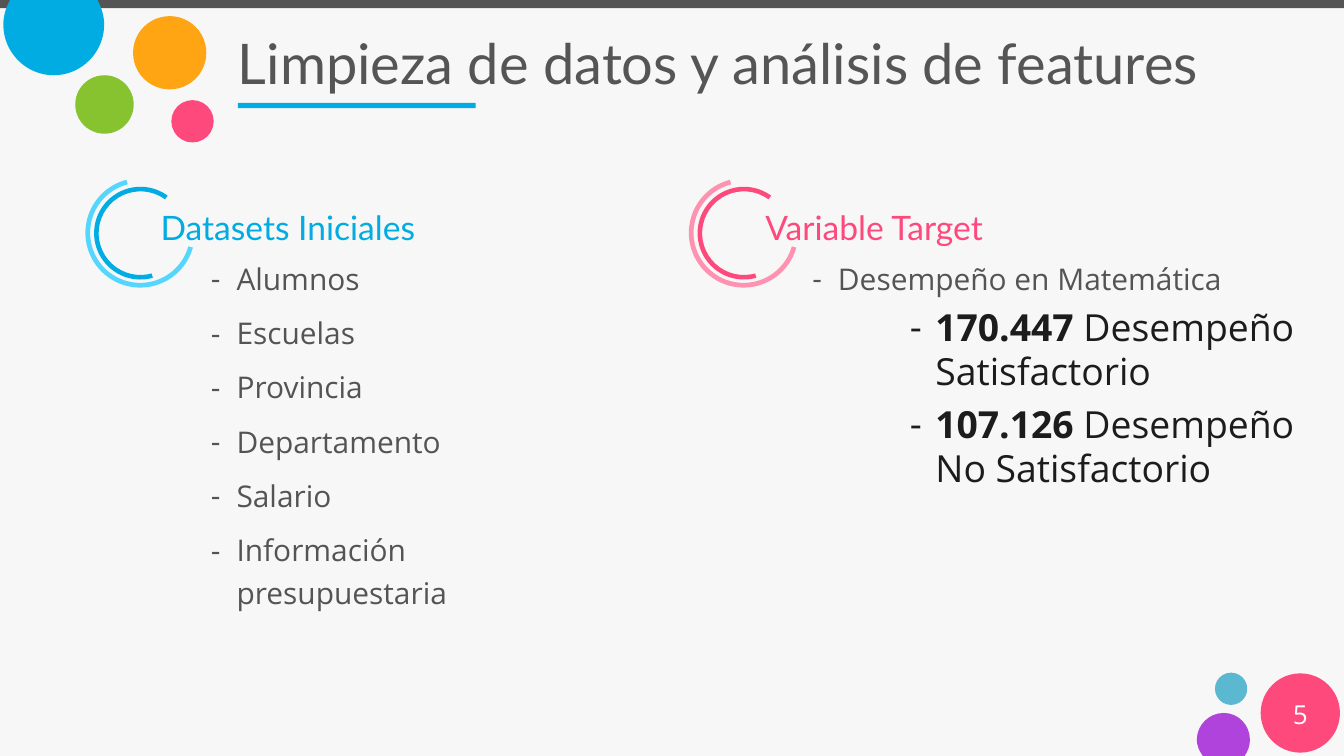
from dataclasses import dataclass

import pptx
import pptx.dml.color
import pptx.enum.shapes
import pptx.enum.text
import pptx.oxml.ns
import pptx.util
from lxml import etree
from pptx.util import Inches

SHAPE = pptx.enum.shapes.MSO_SHAPE
ANCHOR = pptx.enum.text.MSO_ANCHOR
ALIGN = pptx.enum.text.PP_ALIGN


@dataclass(frozen=True)
class Theme:
    """Colours, fonts and type sizes of the deck."""
    width: float = 20
    height: float = 11.25
    background: str = "F7F7F7"
    bar: str = "545454"
    title: str = "555555"
    ink: str = "1C1C1C"
    white: str = "FFFFFF"
    blue: str = "00ACE2"
    light_blue: str = "55D6FF"
    pink: str = "FD497C"
    light_pink: str = "FE92B0"
    green: str = "87C32F"
    orange: str = "FFA513"
    teal: str = "5BB8D1"
    purple: str = "B143DD"
    heading_font: str = "Lato"
    body_font: str = "Open Sans"
    title_size: int = 60
    heading_size: int = 36
    body_size: int = 32
    detail_size: int = 40
    number_size: int = 28


THEME = Theme()


def rgb(colour):
    """Turn a hex string into a colour."""
    return pptx.dml.color.RGBColor.from_string(colour)


def paint(shape, colour):
    """Give a shape a flat fill with no line or shadow."""
    shape.shadow.inherit = False
    shape.fill.solid()
    shape.fill.fore_color.rgb = rgb(colour)
    shape.line.fill.background()


def add_flat(page, kind, box, colour):
    """Add a flat preset shape in the box (left, top, width, height)."""
    shape = page.shapes.add_shape(kind, *map(Inches, box))
    paint(shape, colour)
    return shape


def add_cut_circle(page, left, top, chord, curves, colour):
    """Add a circle cut by a straight chord and closed by Bézier curves."""
    points = [(Inches(left + x), Inches(top + y)) for x, y in chord + curves]
    builder = page.shapes.build_freeform(*points[0])
    builder.add_line_segments(points[1:], close=True)
    shape = builder.convert_to_shape()
    lines = list(shape._element.iter(pptx.oxml.ns.qn("a:lnTo")))[1:]
    for start in range(0, len(curves), 3):
        curve = etree.Element(pptx.oxml.ns.qn("a:cubicBezTo"))
        lines[start].addprevious(curve)
        for line in lines[start:start + 3]:
            curve.append(line[0])
            line.getparent().remove(line)
    paint(shape, colour)


def add_text_frame(page, box, anchor=ANCHOR.TOP):
    """Add a wrapping text box and return its frame."""
    frame = page.shapes.add_textbox(*map(Inches, box)).text_frame
    frame.word_wrap = True
    frame.vertical_anchor = anchor
    frame.margin_left = frame.margin_right = Inches(0.18)
    frame.margin_top = frame.margin_bottom = Inches(0.09)
    return frame


def style(para, font, size, colour):
    """Set the font of a whole paragraph."""
    para.font.name = font
    para.font.size = pptx.util.Pt(size)
    para.font.color.rgb = rgb(colour)


def space(para, before, line=None):
    """Set the space before a paragraph and its line spacing."""
    para.space_before = pptx.util.Pt(before)
    para.line_spacing = line


def add_dash(para, indent):
    """Give a paragraph a hanging dash bullet."""
    properties = para._p.get_or_add_pPr()
    properties.set("marL", str(Inches(indent)))
    properties.set("indent", str(Inches(-0.38)))
    font = etree.SubElement(properties, pptx.oxml.ns.qn("a:buFont"))
    font.set("typeface", THEME.body_font)
    bullet = etree.SubElement(properties, pptx.oxml.ns.qn("a:buChar"))
    bullet.set("char", "-")


def add_header(page, box, text):
    """Add the top bar, the corner circles and the underlined title."""
    left, top, width, height = box
    add_flat(page, SHAPE.RECTANGLE, (0, 0, THEME.width, 0.12), THEME.bar)
    add_flat(page, SHAPE.OVAL, (2.55, 1.49, 0.63, 0.63), THEME.pink)
    add_cut_circle(page, 0.05, 0, [(0.1, 0), (1.4, 0)],
                   [(1.46, 0.11), (1.5, 0.23), (1.5, 0.37),
                    (1.5, 0.78), (1.16, 1.12), (0.75, 1.12),
                    (0.34, 1.12), (0, 0.78), (0, 0.37),
                    (0, 0.23), (0.04, 0.11), (0.1, 0)], THEME.blue)
    add_flat(page, SHAPE.OVAL, (1.12, 1.12, 0.87, 0.87), THEME.green)
    add_flat(page, SHAPE.OVAL, (1.98, 0.24, 1.09, 1.09), THEME.orange)
    add_flat(page, SHAPE.RECTANGLE, (left + 0.18, top + 1.26, 3.54, 0.08), THEME.blue)
    para = add_text_frame(page, box, ANCHOR.MIDDLE).paragraphs[0]
    para.text = text
    style(para, THEME.heading_font, THEME.title_size, THEME.title)


def add_page_number(page, box, number):
    """Add the numbered circle and its two companions."""
    left, top, size, _ = box
    add_flat(page, SHAPE.OVAL, (left - 0.68, top - 0.01, 0.48, 0.48), THEME.teal)
    add_flat(page, SHAPE.OVAL, box, THEME.pink)
    add_cut_circle(page, left - 0.95, top + 0.59, [(0.71, 0.64), (0.09, 0.64)],
                   [(0.04, 0.57), (0, 0.49), (0, 0.4),
                    (0, 0.18), (0.18, 0), (0.4, 0),
                    (0.62, 0), (0.79, 0.18), (0.79, 0.4),
                    (0.79, 0.49), (0.76, 0.57), (0.71, 0.64)], THEME.purple)
    para = add_text_frame(page, (left, top + 0.3, size, 0.6), ANCHOR.MIDDLE).paragraphs[0]
    para.text = number
    para.alignment = ALIGN.CENTER
    style(para, THEME.body_font, THEME.number_size, THEME.white)


def add_rings(page, left, top, outer_colour, inner_colour):
    """Add the two open rings beside a topic heading."""
    for inset, size, turn, start, end, thickness, colour in (
            (0, 1.63, 60, 189.41, 117.33, 0.043, outer_colour),
            (0.13, 1.38, 110.3, 194.52, 117.42, 0.049, inner_colour)):
        ring = add_flat(page, SHAPE.BLOCK_ARC,
                        (left + inset, top + inset, size, size), colour)
        ring.rotation = turn
        for index, value in enumerate((start, end, thickness)):
            ring.adjustments[index] = value


def add_heading(page, box, text, colour):
    """Add a topic heading at the bottom of its box."""
    para = add_text_frame(page, box, ANCHOR.BOTTOM).paragraphs[0]
    para.text = text
    space(para, 12, 1.2)
    style(para, THEME.heading_font, THEME.heading_size, colour)


def add_list(page, box, items, details=()):
    """Add dashed items followed by details that open with a bold figure."""
    frame = add_text_frame(page, box)
    for index, item in enumerate(items):
        para = frame.add_paragraph() if index else frame.paragraphs[0]
        para.text = item
        space(para, 12, 1.2)
        style(para, THEME.body_font, THEME.body_size, THEME.bar)
        add_dash(para, 0.38)
    for figure, label in details:
        para = frame.add_paragraph()
        para.level = 1
        space(para, 8)
        style(para, THEME.body_font, THEME.detail_size, THEME.ink)
        add_dash(para, 1.83)
        span = para.add_run()
        span.text = f"{figure} "
        span.font.bold = True
        para.add_run().text = label


def main():
    """Build the slide and save the deck."""
    deck = pptx.Presentation()
    deck.slide_width = Inches(THEME.width)
    deck.slide_height = Inches(THEME.height)
    page = deck.slides.add_slide(deck.slide_layouts[6])
    page.background.fill.solid()
    page.background.fill.fore_color.rgb = rgb(THEME.background)
    add_header(page, (3.36, 0.27, 15.69, 1.32), "Limpieza de datos y análisis de features")
    add_page_number(page, (18.76, 10.02, 1.18, 1.18), "5")
    add_rings(page, 1.27, 2.65, THEME.light_blue, THEME.blue)
    add_heading(page, (2.21, 2.91, 7.79, 0.86), "Datasets Iniciales", THEME.blue)
    add_list(page, (2.96, 3.68, 6.39, 6.01),
             ("Alumnos", "Escuelas", "Provincia", "Departamento", "Salario",
              "Información presupuestaria"))
    add_rings(page, 10.25, 2.65, THEME.light_pink, THEME.pink)
    add_heading(page, (11.21, 2.91, 7.79, 0.86), "Variable Target", THEME.pink)
    add_list(page, (11.91, 3.68, 7.79, 6.01), ("Desempeño en Matemática",),
             (("170.447", "Desempeño Satisfactorio"),
              ("107.126", "Desempeño No Satisfactorio")))
    deck.save("out.pptx")


if __name__ == "__main__":
    main()
